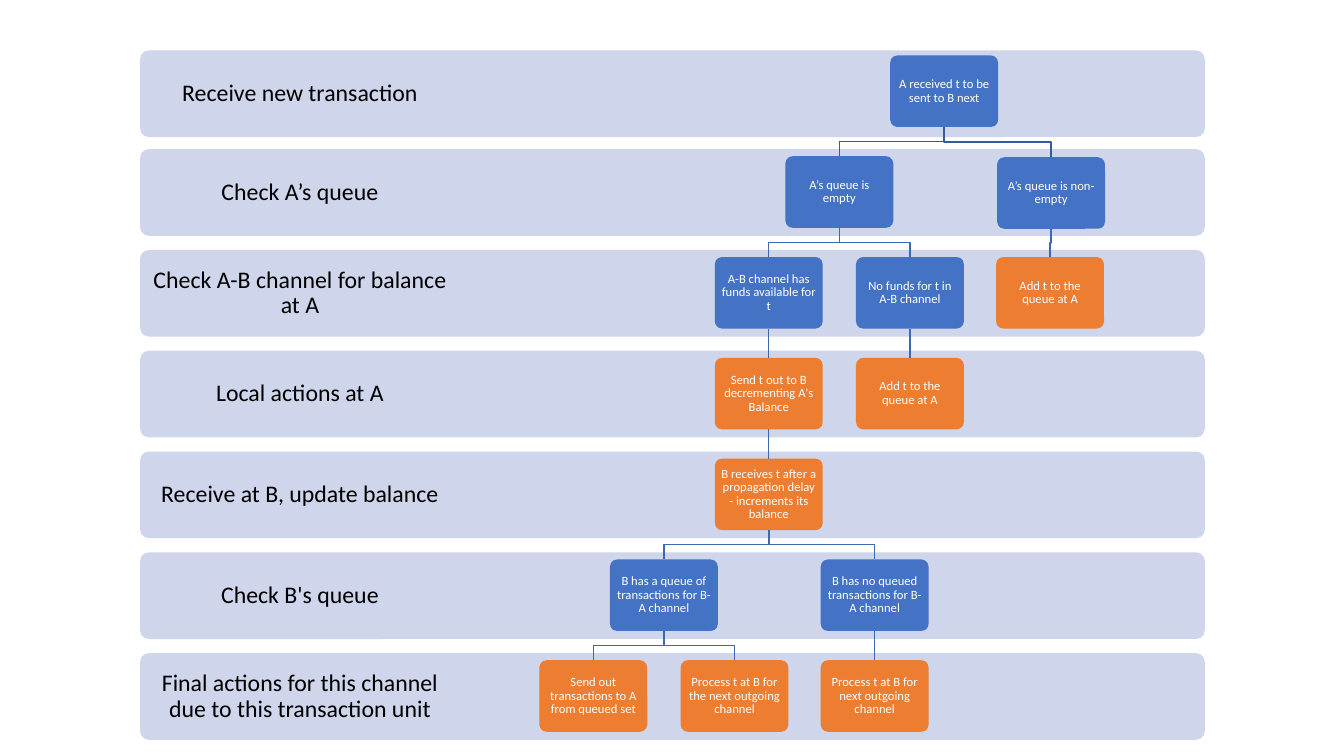
import pptx
import pptx.util
import pptx.dml.color
import pptx.enum.shapes
import pptx.enum.text
import lxml.etree

Inches = pptx.util.Inches
Pt = pptx.util.Pt

COLORS = {
    "band": "CFD5EA",
    "check": "4472C4",
    "action": "ED7D31",
    "root line": "365B9D",
    "line": "3E67B2",
    "label": "000000",
    "card text": "FFFFFF",
}

STAGES = [
    "Receive new transaction",
    "Check A’s queue",
    "Check A-B channel for balance at A",
    "Local actions at A",
    "Receive at B, update balance",
    "Check B's queue",
    "Final actions for this channel due to this transaction unit",
]

# name: (stage row, left, kind, text)
CARDS = {
    "received": (0, 8.83, "check", "A received t to be sent to B next"),
    "A empty": (1, 7.79, "check", "A’s queue is empty"),
    "A waiting": (1, 9.89, "check", "A’s queue is non-empty"),
    "funds": (2, 7.09, "check", "A-B channel has funds available for t"),
    "no funds": (2, 8.49, "check", "No funds for t in A-B channel"),
    "A queues behind": (2, 9.88, "action", "Add t to the queue at A"),
    "send": (3, 7.09, "action", "Send t out to B decrementing A's Balance"),
    "A queues": (3, 8.49, "action", "Add t to the queue at A"),
    "B receives": (4, 7.09, "action",
                   "B receives t after a propagation delay - increments its balance"),
    "B waiting": (5, 6.05, "check", "B has a queue of transactions for B-A channel"),
    "B empty": (5, 8.14, "check", "B has no queued transactions for B-A channel"),
    "send queued": (6, 5.35, "action", "Send out transactions to A from queued set"),
    "process behind": (6, 6.75, "action", "Process t at B for the next outgoing channel"),
    "process": (6, 8.14, "action", "Process t at B for next outgoing channel"),
}

CHILDREN = {
    "received": ["A empty", "A waiting"],
    "A empty": ["funds", "no funds"],
    "A waiting": ["A queues behind"],
    "funds": ["send"],
    "no funds": ["A queues"],
    "send": ["B receives"],
    "B receives": ["B waiting", "B empty"],
    "B waiting": ["send queued", "process behind"],
    "B empty": ["process"],
}

BAND_LEFT, BAND_WIDTH, BAND_HEIGHT = 1.39, 10.56, 0.86
LABEL_WIDTH = 3.17
CARD_WIDTH, CARD_HEIGHT = 1.07, 0.71
ROW_STEP = 1.0
BAND_TOP, CARD_TOP = 0.48, 0.55
BAND_NUDGE = {0: 0.02}
CARD_NUDGE = {"A waiting": 0.01}


def rgb(name):
    return pptx.dml.color.RGBColor.from_string(COLORS[name])


def add_rounded(page, left, top, width, height, color):
    box = page.shapes.add_shape(
        pptx.enum.shapes.MSO_SHAPE.ROUNDED_RECTANGLE,
        Inches(left), Inches(top), Inches(width), Inches(height))
    box.adjustments[0] = 0.1
    box.shadow.inherit = False
    box.fill.solid()
    box.fill.fore_color.rgb = rgb(color)
    box.line.fill.background()
    return box


def write(box, text, size, color, inset):
    frame = box.text_frame
    frame.text = text
    frame.word_wrap = True
    frame.vertical_anchor = pptx.enum.text.MSO_ANCHOR.MIDDLE
    frame.margin_left = frame.margin_right = Inches(inset)
    frame.margin_top = frame.margin_bottom = Inches(inset)
    para = frame.paragraphs[0]
    para.alignment = pptx.enum.text.PP_ALIGN.CENTER
    para.line_spacing = 0.9
    font = para.runs[0].font
    font.name = "Calibri"
    font.size = Pt(size)
    font.color.rgb = rgb(color)


def add_stage(page, row, text):
    top = BAND_TOP + row * ROW_STEP + BAND_NUDGE.get(row, 0)
    add_rounded(page, BAND_LEFT, top, BAND_WIDTH, BAND_HEIGHT, "band")
    label = page.shapes.add_textbox(
        Inches(BAND_LEFT), Inches(top), Inches(LABEL_WIDTH), Inches(BAND_HEIGHT))
    write(label, text, 17, "label", 0.13)


def add_card(page, name):
    row, left, kind, text = CARDS[name]
    top = CARD_TOP + row * ROW_STEP + CARD_NUDGE.get(name, 0)
    card = add_rounded(page, left, top, CARD_WIDTH, CARD_HEIGHT, kind)
    write(card, text, 9, "card text", 0.04)
    return card


def link(page, parent, child, color):
    """Join parent to child: straight when aligned, otherwise with a step halfway."""
    start_x = parent.left + parent.width // 2
    start_y = parent.top + parent.height
    end_x = child.left + child.width // 2
    end_y = child.top
    if start_x == end_x:
        line = page.shapes.add_connector(
            pptx.enum.shapes.MSO_CONNECTOR.STRAIGHT, start_x, start_y, end_x, end_y)
        line.begin_connect(parent, 2)
        line.end_connect(child, 0)
        properties = line.element.spPr
    else:
        middle_y = (start_y + end_y) // 2
        builder = page.shapes.build_freeform(start_x, start_y)
        builder.add_line_segments(
            [(start_x, middle_y), (end_x, middle_y), (end_x, end_y)], close=False)
        line = builder.convert_to_shape()
        line.fill.background()
        line.shadow.inherit = False
        properties = None
    line.line.color.rgb = rgb(color)
    line.line.width = Pt(1)
    if properties is not None:
        lxml.etree.SubElement(properties, pptx.oxml.ns.qn("a:effectLst"))


def main():
    deck = pptx.Presentation()
    deck.slide_width, deck.slide_height = Inches(13.33), Inches(7.5)
    page = deck.slides.add_slide(deck.slide_layouts[6])
    for row, text in enumerate(STAGES):
        add_stage(page, row, text)
    cards = {name: add_card(page, name) for name in CARDS}
    for parent, children in CHILDREN.items():
        color = "root line" if parent == "received" else "line"
        for child in children:
            link(page, cards[parent], cards[child], color)
    deck.save("out.pptx")


if __name__ == "__main__":
    main()
